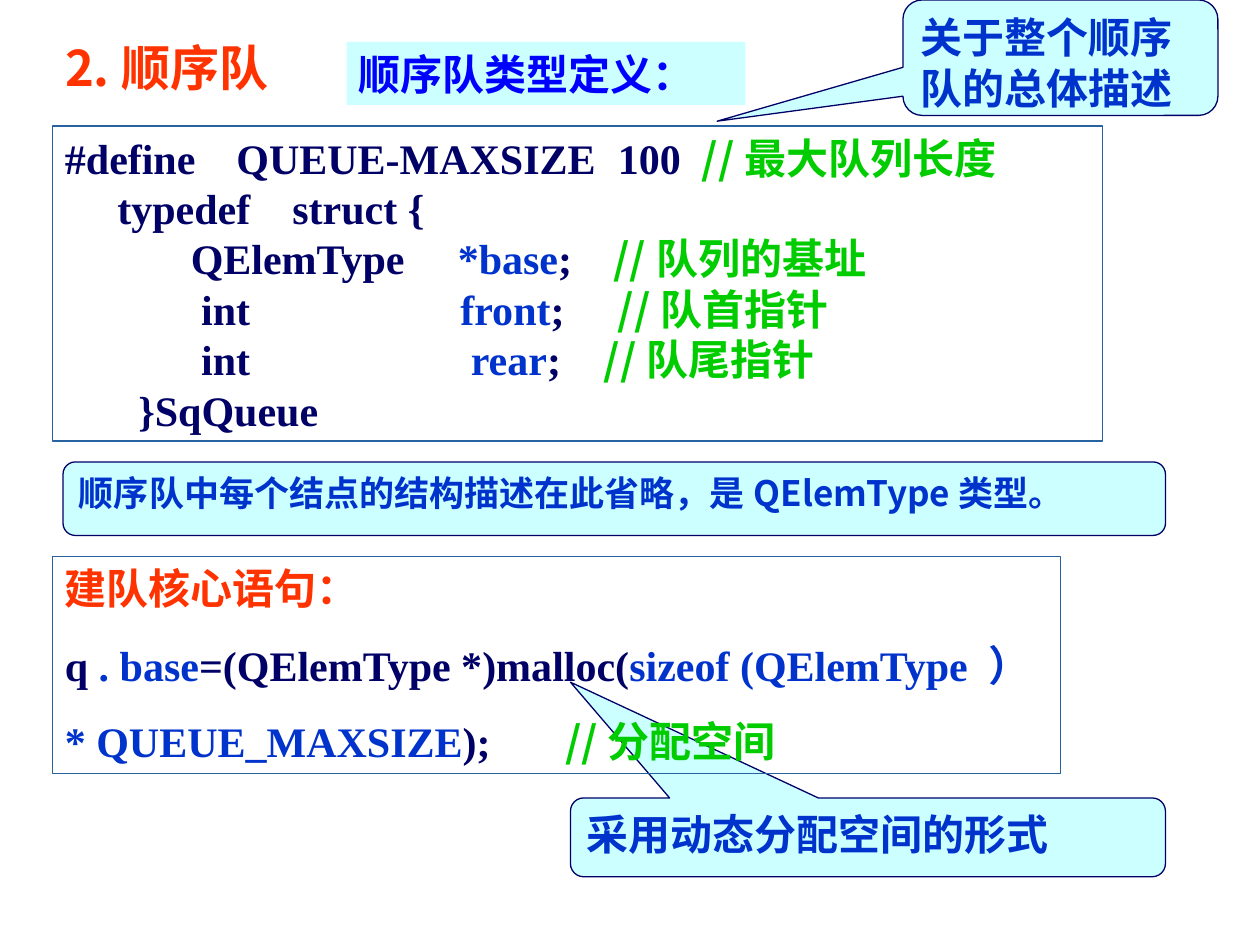
from dataclasses import dataclass

from lxml import etree
from pptx import Presentation
from pptx.dml.color import RGBColor
from pptx.enum import shapes, text
from pptx.oxml import ns
from pptx.util import Pt


@dataclass(frozen=True)
class Theme:
    """Colours, fonts and type sizes of the slide."""
    red: str = "FF3300"
    navy: str = "000066"
    blue: str = "0033CC"
    bright: str = "0000FF"
    green: str = "00CC00"
    cyan: str = "CCFFFF"
    frame: str = "2663A0"
    serif: str = "Times New Roman"
    sans: str = "Noto Sans CJK SC"
    title: float = 28
    body: float = 24
    note: float = 20
    line: float = 0.75
    gap: float = 15


THEME = Theme()


def add_run(paragraph, words, color, font=THEME.serif, size=THEME.body):
    """Append one bold run with its Latin and East Asian fonts."""
    run = paragraph.add_run()
    run.text = words
    run.font.size = Pt(size)
    run.font.bold = True
    run.font.color.rgb = RGBColor.from_string(color)
    run.font.name = font
    properties = run._r.get_or_add_rPr()
    etree.SubElement(properties, ns.qn("a:ea"), typeface=THEME.sans)


def add_tabs(paragraph, stops):
    """Give a paragraph left tab stops measured in points."""
    tabs = etree.SubElement(paragraph._p.get_or_add_pPr(), ns.qn("a:tabLst"))
    for stop in stops:
        etree.SubElement(tabs, ns.qn("a:tab"), pos=str(Pt(stop)), algn="l")


def add_panel(slide, box, kind=shapes.MSO_SHAPE.RECTANGLE, fill=None, line=None):
    """Add a flat shape whose text starts at the top left."""
    shape = slide.shapes.add_shape(kind, *map(Pt, box))
    shape.shadow.inherit = False
    if fill:
        shape.fill.solid()
        shape.fill.fore_color.rgb = RGBColor.from_string(fill)
    else:
        shape.fill.background()
    if line:
        shape.line.color.rgb = RGBColor.from_string(line)
        shape.line.width = Pt(THEME.line)
    else:
        shape.line.fill.background()
    frame = shape.text_frame
    frame.word_wrap = True
    frame.vertical_anchor = text.MSO_ANCHOR.TOP
    frame.paragraphs[0].alignment = text.PP_ALIGN.LEFT
    return shape


def place_title(slide, box, words):
    """Move and format the title placeholder."""
    title = slide.shapes.title
    title.left, title.top, title.width, title.height = map(Pt, box)
    frame = title.text_frame
    frame.auto_size = text.MSO_AUTO_SIZE.NONE
    frame.vertical_anchor = text.MSO_ANCHOR.MIDDLE
    frame.margin_right = 0
    paragraph = frame.paragraphs[0]
    paragraph.alignment = text.PP_ALIGN.LEFT
    add_run(paragraph, words, THEME.red, THEME.sans, THEME.title)


def place_label(slide, box, words):
    """Add the filled heading of the type definition."""
    shape = add_panel(slide, box, fill=THEME.cyan)
    add_run(shape.text_frame.paragraphs[0], words, THEME.bright)


def place_callout(slide, box, pointer, words, font=THEME.serif, size=THEME.body):
    """Add a rounded callout with its pointer tip relative to its centre."""
    kind = shapes.MSO_SHAPE.ROUNDED_RECTANGULAR_CALLOUT
    shape = add_panel(slide, box, kind, THEME.cyan, THEME.navy)
    shape.adjustments[0], shape.adjustments[1] = pointer
    add_run(shape.text_frame.paragraphs[0], words, THEME.blue, font, size)


def place_code(slide, box, lines, gap=0):
    """Add a framed listing of (tab stops, runs) lines."""
    frame = add_panel(slide, box, line=THEME.frame).text_frame
    for index, (stops, runs) in enumerate(lines):
        paragraph = frame.paragraphs[0] if index == 0 else frame.add_paragraph()
        paragraph.alignment = text.PP_ALIGN.LEFT
        if index and gap:
            paragraph.space_before = Pt(gap)
        if stops:
            add_tabs(paragraph, stops)
        for words, color in runs:
            font = THEME.sans if color == THEME.green else THEME.serif
            add_run(paragraph, words, color, font)


def main():
    """Build and save the sequential queue slide."""
    presentation = Presentation()
    presentation.slide_width, presentation.slide_height = Pt(720), Pt(540)
    slide = presentation.slides.add_slide(presentation.slide_layouts[5])
    navy, blue, green = THEME.navy, THEME.blue, THEME.green

    definition = [
        ((98, 316, 364), [("#define\tQUEUE-MAXSIZE\t100\t", navy), ("//最大队列长度", green)]),
        ((130,), [("     typedef\tstruct {", navy)]),
    ]
    fields = [
        ((224.5, 313.5), "            QElemType", "*base", "//队列的基址"),
        ((226, 316), "             int", "front", "//队首指针"),
        ((232, 308), "             int", "rear", "//队尾指针"),
    ]
    for stops, kind, name, comment in fields:
        definition.append((stops, [(kind + "\t", navy), (name, blue),
                                   (";\t", navy), (comment, green)]))
    definition.append(((), [("       }SqQueue", navy)]))

    creation = [
        ((), [("建队核心语句：", THEME.red)]),
        ((), [("q ", navy), (". base", blue), ("=(QElemType *)malloc(", navy),
              ("sizeof (QElemType ）", blue)]),
        ((286,), [("* QUEUE_MAXSIZE", blue), (");\t", navy), ("//分配空间", green)]),
    ]

    place_title(slide, (30, 18, 132, 41), "2.顺序队")
    place_callout(slide, (326, 456, 340, 45), (-0.5, -1.97), "采用动态分配空间的形式")
    place_label(slide, (198, 24, 228, 36), "顺序队类型定义：")
    place_code(slide, (30, 318, 576, 124), creation, THEME.gap)
    place_callout(slide, (516, 0, 180, 66), (-1.09, 0.55), "关于整个顺序队的总体描述")
    place_code(slide, (30, 72, 600, 180), definition)
    place_callout(slide, (36, 264, 630, 42), (0.5, -0.02),
                  "顺序队中每个结点的结构描述在此省略，是QElemType类型。", THEME.sans, THEME.note)
    presentation.save("out.pptx")


if __name__ == "__main__":
    main()
